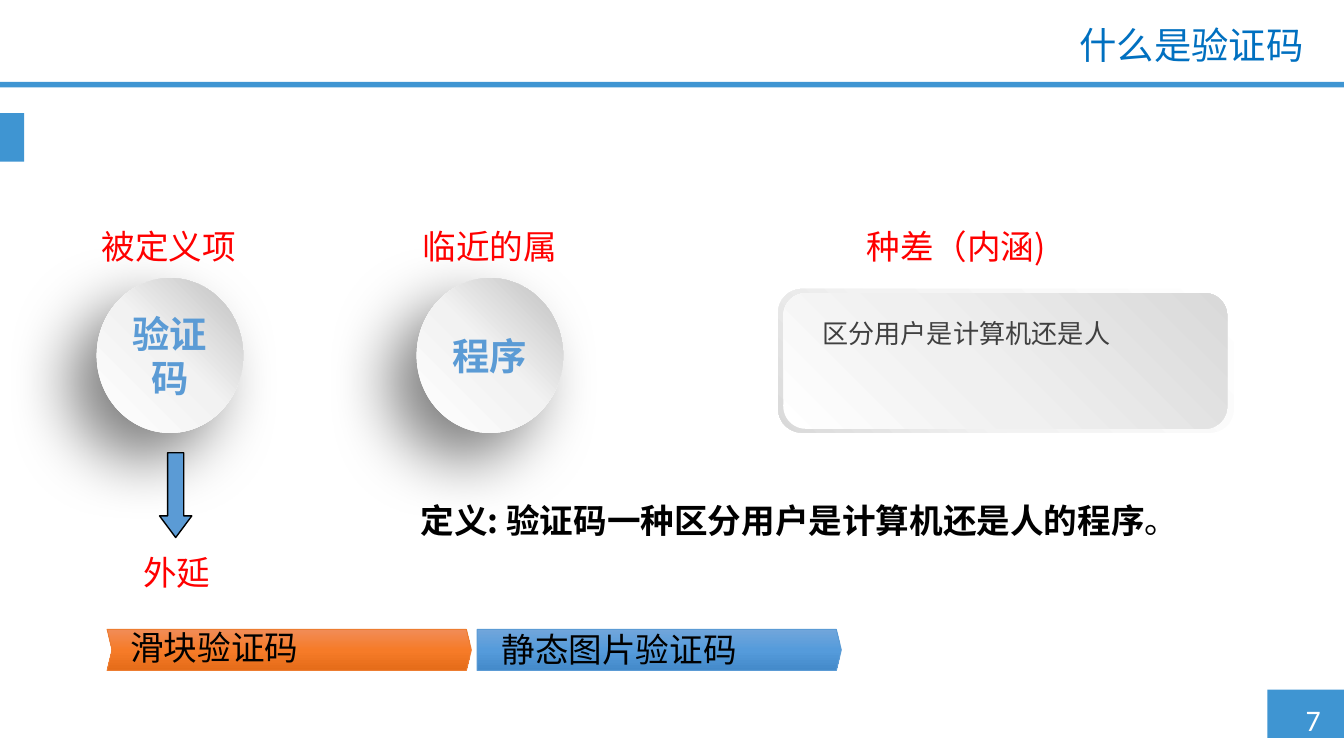
from lxml.etree import SubElement
from pptx import Presentation
from pptx.dml.color import RGBColor
from pptx.enum.shapes import MSO_SHAPE as Shape
from pptx.enum.text import MSO_ANCHOR as Anchor, PP_ALIGN as Align
from pptx.oxml.ns import qn
from pptx.util import Pt

WHITE = RGBColor(0xFF, 0xFF, 0xFF)
BLACK = RGBColor(0, 0, 0)
RED = RGBColor(0xFF, 0, 0)
THEME_BLUE = RGBColor(0x3F, 0x95, 0xD2)
TITLE_BLUE = RGBColor(0, 0x70, 0xC0)
SOFT_BLUE = RGBColor(0x5B, 0x9B, 0xD5)
ORANGE = RGBColor(0xED, 0x7D, 0x31)
DARK_GRAY = RGBColor(0x40, 0x40, 0x40)

BALL_STOPS = [(0, "FFFFFF"), (51, "F2F2F2"), (100, "BFBFBF")]
RIM_STOPS = [(0, "FFFFFF"), (62, "F2F2F2"), (100, "D9D9D9")]
PANEL_STOPS = [(0, "FFFFFF"), (42, "F0F0F0"), (100, "D9D9D9")]
BLUE_STOPS = [(0, "71A6DB"), (50, "559BDB"), (100, "448ACA")]
ORANGE_STOPS = [(0, "F18C57"), (50, "F67B28"), (100, "E56C19")]

CJK = "Noto Sans CJK SC"
LABEL_H = 28.8

# Boxes are left, top, width, height in points.
BARS = [(0, 43.9, 720, 2.9), (0, 60.7, 13, 25.9), (679, 369.5, 41, 25.9)]
BALLS = [("验证码", 51.8), ("程序", 223.2)]
PANELS = [
    ((416.9, 154.8, 244.1, 77), RIM_STOPS, 135),
    ((419.6, 157, 237.8, 72.7), PANEL_STOPS, 315),
]
HEADINGS = [  # text, left, top, width
    ("被定义项", 17.3, 117.4, 146.2),
    ("临近的属", 182.2, 117.4, 160.6),
    ("种差（内涵)", 450.7, 117.4, 123.1),
    ("外延", 26.6, 292.3, 136.1),
]
EXTENSIONS = [  # shape, left, notch, stops, line, text, text left, top, width
    (Shape.CHEVRON, 57.4, 0.12, ORANGE_STOPS, ORANGE,
     "滑块验证码", 62.6, 332.6, 104.4),
    (Shape.PENTAGON, 255.6, 0.12, BLUE_STOPS, SOFT_BLUE,
     "静态图片验证码 ", 252.7, 333.4, 162),
]

prs = Presentation()
prs.slide_width, prs.slide_height = Pt(720), Pt(405)
slide = prs.slides.add_slide(prs.slide_layouts[6])


def add_run(paragraph, text, size, color, bold=False, font=CJK):
    run = paragraph.add_run()
    run.text = text
    run.font.size, run.font.bold = Pt(size), bold
    run.font.color.rgb = color
    run.font.name = font
    SubElement(run.font._element, qn("a:ea"), typeface=font)


def add_text(text, box, size, color, align=Align.CENTER, bold=False,
             font=CJK, spacing=None):
    """Add a wrapped text box and return its text frame."""
    frame = slide.shapes.add_textbox(*map(Pt, box)).text_frame
    frame.word_wrap = True
    paragraph = frame.paragraphs[0]
    paragraph.alignment = align
    if spacing:
        paragraph.line_spacing = spacing
    add_run(paragraph, text, size, color, bold, font)
    return frame


def add_shape(kind, box, color=None, line=None, line_width=0.5):
    shape = slide.shapes.add_shape(kind, *map(Pt, box))
    shape.shadow.inherit = False
    if color is not None:
        shape.fill.solid()
        shape.fill.fore_color.rgb = color
    if line is None:
        shape.line.fill.background()
    else:
        shape.line.color.rgb = line
        shape.line.width = Pt(line_width)
    return shape


def shade(shape, stops, angle):
    """Fill with a linear gradient; the angle runs clockwise."""
    shape.fill.gradient()
    shape.fill.gradient_angle = 360 - angle
    stop_list = shape._element.spPr.find(qn("a:gradFill")).find(qn("a:gsLst"))
    for stop in list(stop_list):
        stop_list.remove(stop)
    for position, color in stops:
        stop = SubElement(stop_list, qn("a:gs"), pos=str(position * 1000))
        SubElement(stop, qn("a:srgbClr"), val=color)


def cast_shadow(shape, blur, distance, angle, opacity):
    effects = shape._element.spPr.find(qn("a:effectLst"))
    shadow = SubElement(effects, qn("a:outerShdw"), blurRad=str(Pt(blur)),
                        dist=str(Pt(distance)), dir=str(angle * 60000),
                        algn="tr", rotWithShape="0")
    color = SubElement(shadow, qn("a:srgbClr"), val="000000")
    SubElement(color, qn("a:alpha"), val=str(opacity * 1000))


for bar in BARS:
    add_shape(Shape.RECTANGLE, bar, THEME_BLUE)
add_text("7", (687, 372.2, 33, 26.6), 16, WHITE, font="Calibri")
title = add_text("什么是验证码", (172.8, 10.8, 532.8, LABEL_H), 20, TITLE_BLUE,
                 Align.RIGHT, spacing=0.9)
title.vertical_anchor = Anchor.MIDDLE

for term, left in BALLS:
    ball = add_shape(Shape.OVAL, (left, 149, 78.5, 83))
    shade(ball, BALL_STOPS, 315)
    cast_shadow(ball, blur=35, distance=20, angle=135, opacity=50)
    ball.text_frame.vertical_anchor = Anchor.MIDDLE
    ball.text_frame.paragraphs[0].alignment = Align.CENTER
    add_run(ball.text_frame.paragraphs[0], term, 20, SOFT_BLUE, bold=True)

for box, stops, angle in PANELS:
    shade(add_shape(Shape.ROUNDED_RECTANGLE, box), stops, angle)
add_text("区分用户是计算机还是人", (433.4, 163.4, 210.2, 27.4), 14, DARK_GRAY,
         Align.LEFT, spacing=1.2)

for heading, left, top, width in HEADINGS:
    add_text(heading, (left, top, width, LABEL_H), 18, RED)

definition = add_text("定义: 验证码一种区分用户是计算机还是人的程序",
                      (218.2, 264.2, 424.8, LABEL_H), 18, BLACK,
                      Align.LEFT, bold=True)
add_run(definition.paragraphs[0], "。", 18, BLACK)

arrow = add_shape(Shape.DOWN_ARROW, (85.5, 242.6, 17.3, 45.4), SOFT_BLUE,
                  BLACK, 0.75)
arrow.adjustments[0], arrow.adjustments[1] = 0.5, 0.67

for kind, left, notch, stops, line, text, text_left, top, width in EXTENSIONS:
    band = add_shape(kind, (left, 337.2, 195.1, 22), line=line)
    band.adjustments[0] = notch
    shade(band, stops, 90)
    add_text(text, (text_left, top, width, LABEL_H), 18, BLACK)

prs.save("out.pptx")
